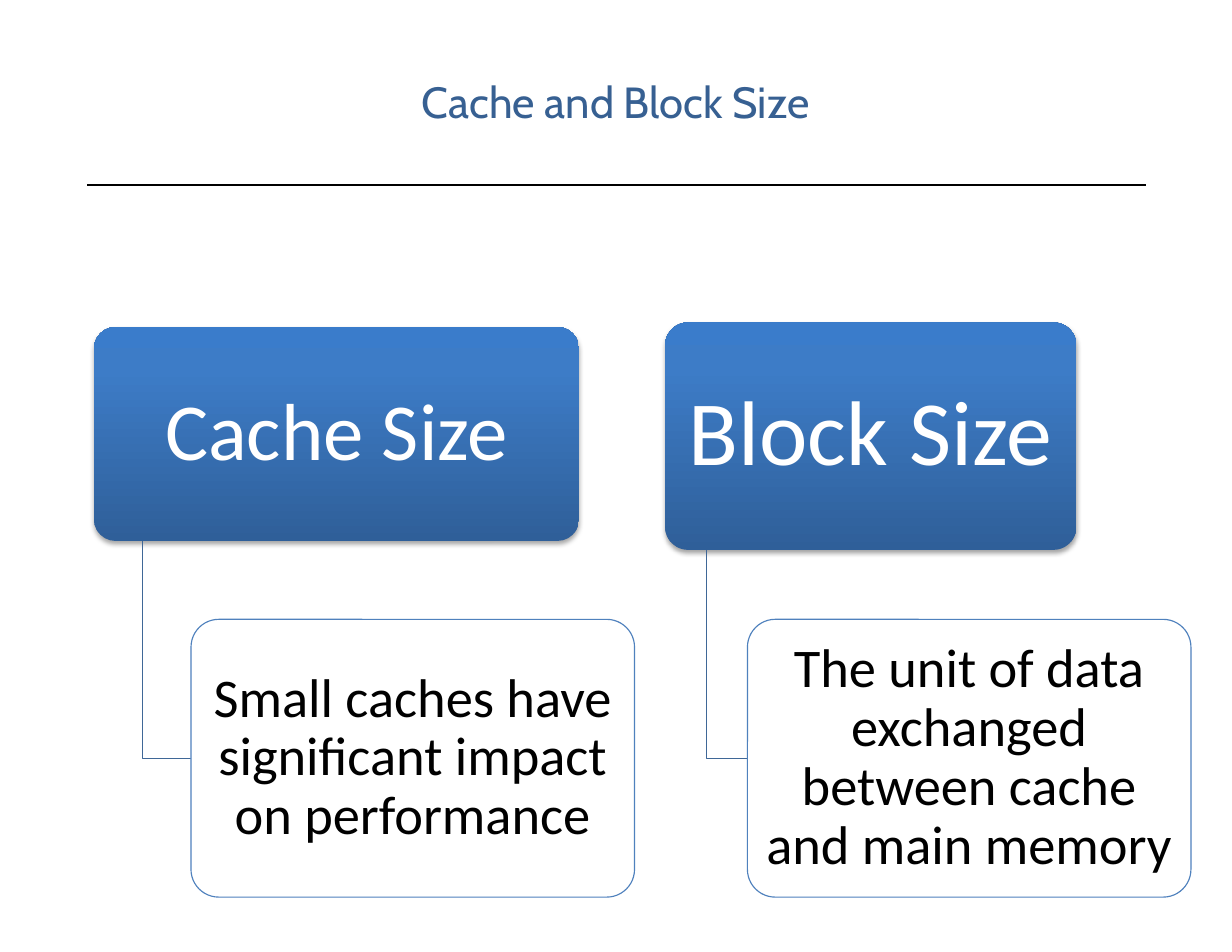
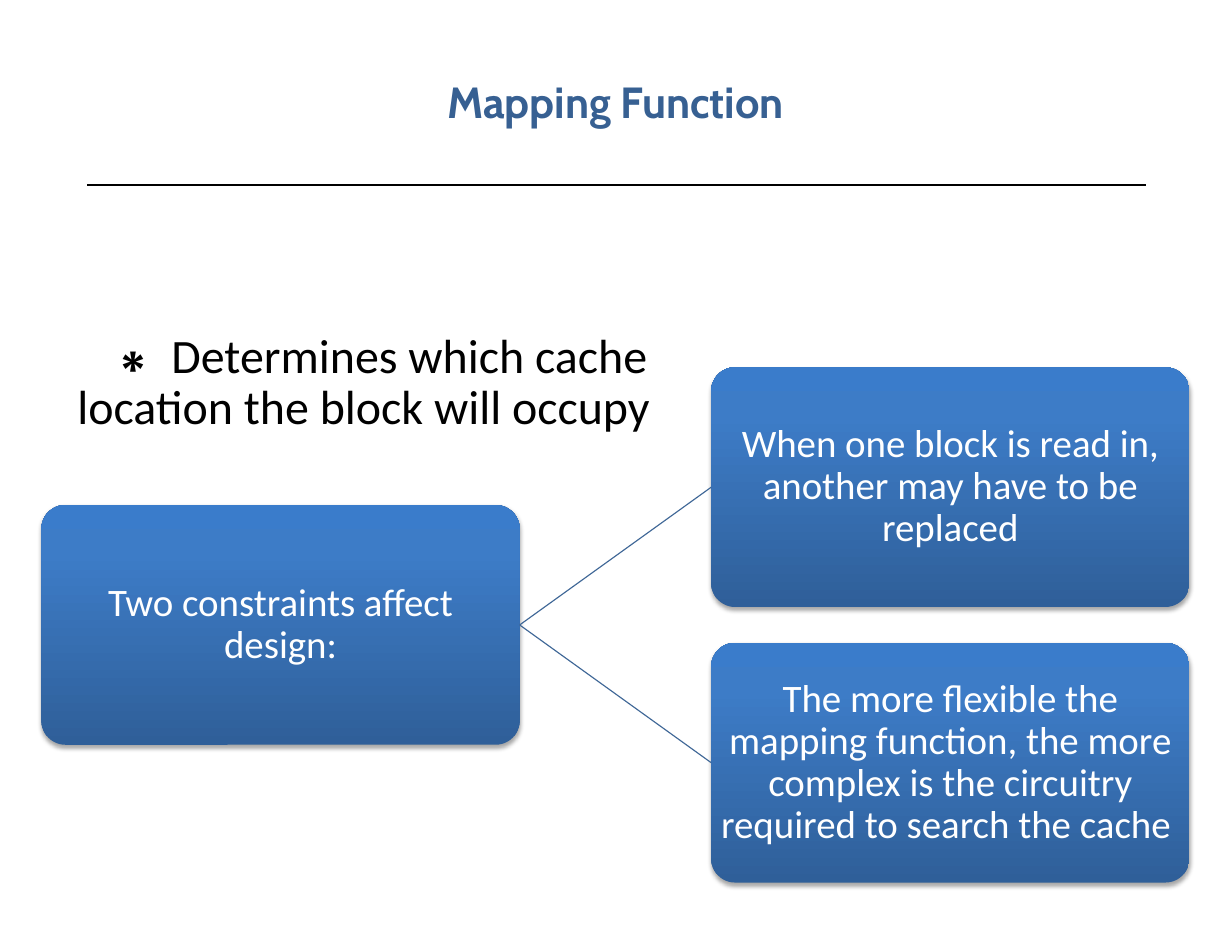
import copy
import pptx
import pptx.util
import pptx.oxml
import pptx.oxml.ns
import pptx.dml.color
import pptx.enum.text
import pptx.enum.shapes

RGB = pptx.dml.color.RGBColor.from_string
INCH = pptx.util.Inches
PT = pptx.util.Pt
ALIGN = pptx.enum.text.PP_ALIGN
MID = pptx.enum.text.MSO_ANCHOR.MIDDLE
FIT = pptx.enum.text.MSO_AUTO_SIZE
NS = pptx.oxml.ns.nsdecls("a")
COLS, ROWS = 110, 85

THEME = {
    "title": {"name": "Cabin", "size": 28, "color": "376092"},
    "text": {"name": "Calibri", "color": "000000"},
    "head": {"name": "Calibri", "color": "FFFFFF"},
    "ramp": [(0, "2F5F99"), (0.8, "3D7CC7"), (1, "3A7CCB")],
    "rule": "000000",
    "link": "3F6797",
    "edge": "4F81BD",
    "leaf": "FFFFFF",
    "leaf size": 35,
    "node size": 25,
    "list size": 30.8,
}


def put(item, **values):
    for name, value in values.items():
        setattr(item, name, value)


class Deck:
    """Hold the theme and the current slide, and draw each kind of element."""

    def __init__(self, theme):
        self.theme = theme
        self.prs = pptx.Presentation()
        put(self.prs, slide_width=INCH(11), slide_height=INCH(8.5))
        self.slide = None

    def x(self, col):
        return round(self.prs.slide_width * col / COLS)

    def y(self, row):
        return round(self.prs.slide_height * row / ROWS)

    def place(self, item, col, row, wide, high):
        put(item, left=self.x(col), top=self.y(row), width=self.x(wide), height=self.y(high))

    def label(self, frame, text, style, size, pad, bold=False, space=0.9, align=ALIGN.CENTER):
        put(frame, word_wrap=True, vertical_anchor=MID, auto_size=FIT.NONE,
            margin_left=INCH(pad[0]), margin_right=INCH(pad[0]),
            margin_top=INCH(pad[1]), margin_bottom=INCH(pad[1]))
        para = frame.paragraphs[0]
        put(para, alignment=align, line_spacing=space, space_before=PT(0))
        run = para.add_run()
        run.text = text
        put(run.font, name=style["name"], size=PT(size), bold=bold)
        run.font.color.rgb = RGB(style["color"])
        return para

    def page(self, title, layout, bold=False):
        self.slide = self.prs.slides.add_slide(self.prs.slide_layouts[layout])
        self.line((7.8, 16.5), (102.3, 16.5), self.theme["rule"], 1.25)
        style = self.theme["title"]
        head = self.slide.shapes.title
        self.place(head, 7.9, 6.7, 94.1, 4.7)
        self.label(head.text_frame, title, style, style["size"], (0, 0), bold, 1.0)
        head.text_frame.auto_size = FIT.SHAPE_TO_FIT_TEXT

    def line(self, start, end, color, width=0.75):
        link = self.slide.shapes.add_connector(
            pptx.enum.shapes.MSO_CONNECTOR.STRAIGHT,
            self.x(start[0]), self.y(start[1]), self.x(end[0]), self.y(end[1]))
        link.line.color.rgb = RGB(color)
        link.line.width = PT(width)
        link._element.spPr.append(pptx.oxml.parse_xml(f"<a:effectLst {NS}/>"))
        return link

    def join(self, left, right):
        link = self.line((0, 0), (1, 1), self.theme["link"])
        link.begin_connect(left, 3)
        link.end_connect(right, 1)

    def box(self, area):
        box = self.slide.shapes.add_shape(
            pptx.enum.shapes.MSO_SHAPE.ROUNDED_RECTANGLE, 0, 0, 1, 1)
        self.place(box, *area)
        box.adjustments[0] = 0.1
        box.shadow.inherit = False
        return box

    def head(self, area, text, size, pad):
        box = self.box(area)
        box.line.fill.background()
        box.fill.gradient()
        box.fill.gradient_angle = 90
        stops = box._element.spPr.xpath("./a:gradFill/a:gsLst")[0]
        stops.append(copy.deepcopy(stops[-1]))
        for stop, (spot, color) in zip(box.fill.gradient_stops, self.theme["ramp"]):
            stop.position = spot
            stop.color.rgb = RGB(color)
        box._element.spPr.xpath("./a:effectLst")[0].append(pptx.oxml.parse_xml(
            f'<a:outerShdw {NS} blurRad="{PT(3.1)}" dist="{PT(1.8)}" dir="5400000" '
            'rotWithShape="0"><a:srgbClr val="000000"><a:alpha val="35000"/>'
            '</a:srgbClr></a:outerShdw>'))
        self.label(box.text_frame, text, self.theme["head"], size, pad)
        return box

    def leaf(self, area, text):
        box = self.box(area)
        box.fill.solid()
        box.fill.fore_color.rgb = RGB(self.theme["leaf"])
        box.line.color.rgb = RGB(self.theme["edge"])
        box.line.width = PT(0.75)
        self.label(box.text_frame, text, self.theme["text"], self.theme["leaf size"], (0.07, 0.05))

    def branch(self, area, name, size, pad, text):
        col, row, wide, high = area
        self.head(area, name, size, pad)
        stem, edge = col + wide / 10, col + wide / 5
        top, width, depth = 55.3, 39.6, 24.8
        mid = top + depth / 2
        bend = self.slide.shapes.build_freeform(self.x(stem), self.y(row + high))
        bend.add_line_segments(
            [(self.x(stem), self.y(mid)), (self.x(edge), self.y(mid))], close=False)
        elbow = bend.convert_to_shape()
        elbow.fill.background()
        elbow.line.color.rgb = RGB(self.theme["link"])
        elbow.line.width = PT(0.75)
        elbow.shadow.inherit = False
        self.leaf((edge, top, width, depth), text)

    def bullet(self, area, text):
        body = self.slide.placeholders[1]
        self.place(body, *area)
        para = self.label(body.text_frame, text, self.theme["text"], self.theme["list size"],
                          (0.14, 0.07), align=ALIGN.LEFT)
        props = para._p.get_or_add_pPr()
        props.set("marL", "0")
        props.set("indent", str(INCH(0.18)))
        for part in (f'<a:buSzPct {NS} val="150000"/>',
                     f'<a:buChar {NS} char="∗"/>',
                     f'<a:tabLst {NS}><a:tab pos="{INCH(0.84)}" algn="l"/></a:tabLst>'):
            props.append(pptx.oxml.parse_xml(part))


def main():
    deck = Deck(THEME)
    deck.page("Cache and Block Size", 5)
    deck.branch((8.4, 29.2, 43.3, 19.1), "Cache Size", 52, (0.11, 0.07),
                "Small caches have significant impact on performance")
    deck.branch((59.4, 28.8, 36.7, 20.3), "Block Size", 59, (0.12, 0.08),
                "The unit of data exchanged between cache and main memory")

    deck.page("Mapping Function", 1, bold=True)
    wide, high, gap = 42.7, 21.4, 3.2
    size, pad = THEME["node size"], (0.02, 0.02)
    top = 32.8
    step = high + gap
    root = deck.head((3.7, top + step / 2, wide, high), "Two constraints affect design:", size, pad)
    notes = ["When one block is read in, another may have to be replaced",
             "The more flexible the mapping function, the more complex is the circuitry "
             "required to search the cache "]
    for rank, note in enumerate(notes):
        node = deck.head((63.5, top + rank * step, wide, high), note, size, pad)
        deck.join(root, node)
    deck.bullet((5.5, 23.3, 58.7, 21.9), "\tDetermines which cache location the block will occupy")
    deck.prs.save("out.pptx")


if __name__ == "__main__":
    main()
